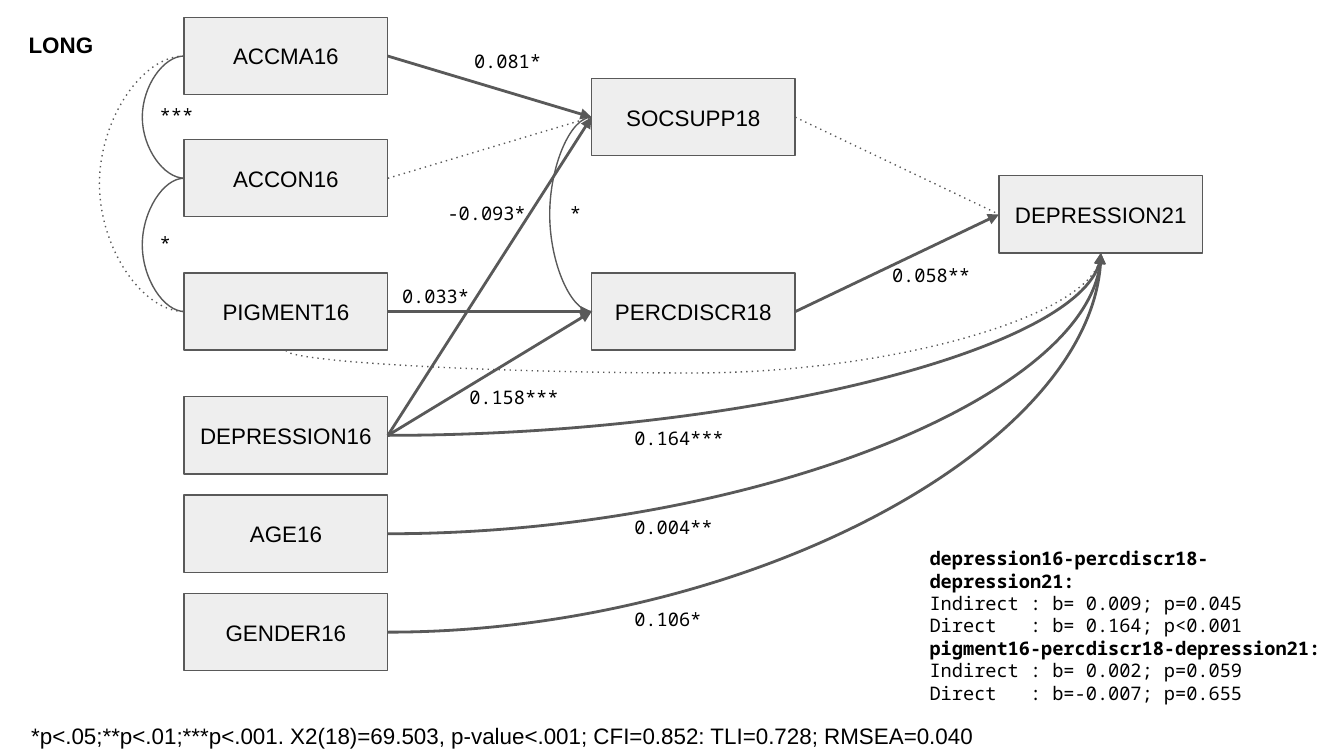
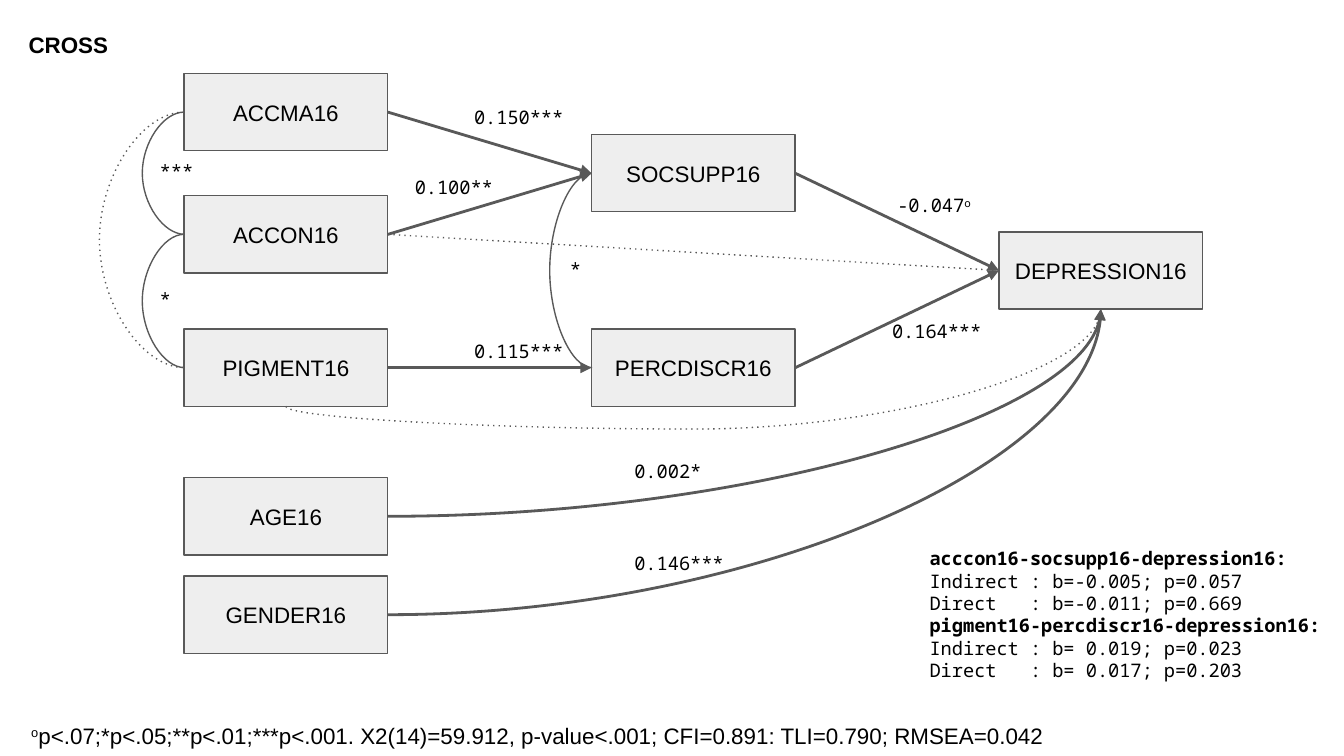
from lxml.etree import SubElement
from pptx import Presentation
from pptx.dml.color import RGBColor
from pptx.enum.shapes import MSO_CONNECTOR as CXN, MSO_SHAPE as SHAPE
from pptx.enum.text import MSO_ANCHOR as ANCHOR, MSO_AUTO_SIZE as AUTO, PP_ALIGN as ALIGN
from pptx.oxml.ns import qn
from pptx.util import Cm, Pt

BLACK = RGBColor(0x00, 0x00, 0x00)
GREY = RGBColor(0x59, 0x59, 0x59)
PALE = RGBColor(0xEE, 0xEE, 0xEE)
SANS, MONO = "Arial", "Noto Sans Mono"
INSET = Cm(0.25)

# Lengths in cm; diagram positions are relative to its top left corner
LEFT, COL_STEP = 3.48, 7.7
BOX_W, BOX_H = 3.85, 1.46
LABEL_W, LABEL_H = 2.74, 0.94
ROW_ACCON, ROW_PIGMENT, ROW_STEP = 2.31, 4.83, 1.86
ROW_SOCSUPP = ROW_ACCON / 2
ROW_OUTCOME = (ROW_SOCSUPP + ROW_PIGMENT) / 2
SLIVER = 0.01           # width of a loop, from which its bulge is scaled
SMALL_BULGE, BIG_BULGE = 0.79, 1.6
DIP = 0.43              # how far the direct path of pigment sinks
LEFT_SIDE, BOTTOM, RIGHT = 1, 2, 3

SHARED_LABELS = [("***", -0.71, 1.42), ("*", -0.71, 3.84), ("*", 7.04, 3.28)]

LONG = dict(
    title="LONG", top=0.33, mediators="18", outcome="DEPRESSION21",
    controls=["DEPRESSION16", "AGE16", "GENDER16"], controls_top=7.17,
    paths=[("ACCMA16", "SOCSUPP18", True), ("ACCON16", "SOCSUPP18", False),
           ("SOCSUPP18", "DEPRESSION21", False),
           ("PERCDISCR18", "DEPRESSION21", True),
           ("PIGMENT16", "PERCDISCR18", True),
           ("DEPRESSION16", "PERCDISCR18", True),
           ("DEPRESSION16", "SOCSUPP18", True)],
    labels=[("0.081*", 5.23, 0.4), ("-0.093*", 4.73, 3.28),
            ("0.164***", 8.26, 7.52), ("0.004**", 8.26, 9.2),
            ("0.106*", 8.26, 10.95), ("0.058**", 13.13, 4.45),
            ("0.033*", 3.87, 4.85), ("0.158***", 5.14, 6.76)],
    effects=["depression16-percdiscr18-depression21:",
             "Indirect : b= 0.009; p=0.045", "Direct   : b= 0.164; p<0.001",
             "pigment16-percdiscr18-depression21:",
             "Indirect : b= 0.002; p=0.059", "Direct   : b=-0.007; p=0.655"],
    note="*p<.05;**p<.01;***p<.001. X2(18)=69.503, p-value<.001; "
         "CFI=0.852: TLI=0.728; RMSEA=0.040")

CROSS = dict(
    title="CROSS", top=1.39, mediators="16", outcome="DEPRESSION16",
    controls=["AGE16", "GENDER16"], controls_top=7.64,
    paths=[("ACCMA16", "SOCSUPP16", True), ("ACCON16", "SOCSUPP16", True),
           ("SOCSUPP16", "DEPRESSION16", True),
           ("PERCDISCR16", "DEPRESSION16", True),
           ("PIGMENT16", "PERCDISCR16", True),
           ("ACCON16", "DEPRESSION16", False)],
    labels=[("0.150***", 5.23, 0.4), ("0.100**", 4.11, 1.72),
            ("0.002*", 8.26, 7.09), ("0.146***", 8.26, 8.82),
            ("0.164***", 13.13, 4.45), ("0.115***", 5.23, 4.82),
            ("-0.047^o^", 13.23, 2.07)],
    effects=["acccon16-socsupp16-depression16:",
             "Indirect : b=-0.005; p=0.057", "Direct   : b=-0.011; p=0.669",
             "pigment16-percdiscr16-depression16:",
             "Indirect : b= 0.019; p=0.023", "Direct   : b= 0.017; p=0.203"],
    note="^o^p<.07;*p<.05;**p<.01;***p<.001. X2(14)=59.912, p-value<.001; "
         "CFI=0.891: TLI=0.790; RMSEA=0.042")


def write(sp, lines, font, size, align=ALIGN.LEFT, anchor=ANCHOR.TOP, bold=()):
    """Fill a shape with paragraphs; text between carets is superscript."""
    tf = sp.text_frame
    tf.word_wrap = True
    tf.vertical_anchor = anchor
    tf.margin_left = tf.margin_right = tf.margin_top = tf.margin_bottom = INSET
    for i, line in enumerate(lines):
        p = tf.add_paragraph() if i else tf.paragraphs[0]
        p.alignment = align
        for j, piece in enumerate(line.split("^")):
            if not piece:
                continue
            r = p.add_run()
            r.text = piece
            f = r.font
            f.name, f.size, f.bold = font, Pt(size), i in bold
            f.color.rgb = BLACK
            if j % 2:
                r._r.get_or_add_rPr().set("baseline", "30000")


def add_text(shapes, box, lines, font, size, bold=()):
    """Add a text box that grows with its text."""
    sp = shapes.add_textbox(*map(Cm, box))
    write(sp, lines, font, size, bold=bold)
    sp.text_frame.auto_size = AUTO.SHAPE_TO_FIT_TEXT


def add_variable(shapes, name, left, top):
    """Add the box of one variable."""
    sp = shapes.add_shape(SHAPE.RECTANGLE, Cm(left), Cm(top), Cm(BOX_W), Cm(BOX_H))
    sp.shadow.inherit = False
    sp.fill.solid()
    sp.fill.fore_color.rgb = PALE
    sp.line.color.rgb = GREY
    sp.line.width = Pt(0.75)
    write(sp, [name], SANS, 12, ALIGN.CENTER, ANCHOR.MIDDLE)
    return sp


def add_link(shapes, start, end, sides, kind=CXN.STRAIGHT, arrow=False, dotted=False):
    """Join two boxes at the given sides."""
    c = shapes.add_connector(kind, 0, 0, 0, 0)
    c.begin_connect(start, sides[0])
    c.end_connect(end, sides[1])
    c.line.color.rgb = GREY
    c.line.width = Pt(1.5 if arrow else 0.75)
    sp_pr = c._element.spPr
    ln = sp_pr.find(qn("a:ln"))
    if dotted:
        SubElement(ln, qn("a:prstDash")).set("val", "dot")
    if arrow:
        SubElement(ln, qn("a:tailEnd")).set("type", "triangle")
    SubElement(sp_pr, qn("a:effectLst"))
    return c


def clear_flips(c):
    """Remove the mirroring of a connector and return its transform."""
    xfrm = c._element.spPr.find(qn("a:xfrm"))
    for flip in ("flipH", "flipV"):
        xfrm.attrib.pop(flip, None)
    return xfrm


def set_bend(c, ratio):
    """Set where the middle of a curve lies, as a share of its width."""
    av = c._element.spPr.find(qn("a:prstGeom")).get_or_add_avLst()
    gd = SubElement(av, qn("a:gd"))
    gd.set("name", "adj1")
    gd.set("fmla", f"val {round(ratio * 100000)}")


def add_loop(shapes, start, end, bulge, dotted=False):
    """Add a correlation arc to the left of two stacked boxes."""
    c = add_link(shapes, start, end, (LEFT_SIDE, LEFT_SIDE), CXN.CURVE, dotted=dotted)
    clear_flips(c)
    c.width = Cm(SLIVER)
    set_bend(c, -bulge / SLIVER)


def add_control_path(shapes, start, outcome):
    """Add a quarter curve from a control variable up to the outcome."""
    c = add_link(shapes, start, outcome, (RIGHT, BOTTOM), CXN.CURVE, arrow=True)
    c._element.spPr.find(qn("a:prstGeom")).set("prst", "curvedConnector2")


def add_sagging_path(shapes, start, outcome):
    """Add the dotted curve that leaves downwards and rises to the outcome."""
    c = add_link(shapes, start, outcome, (BOTTOM, BOTTOM), CXN.CURVE, dotted=True)
    left, top, run, rise = c.left, c.top, c.width, c.height
    clear_flips(c).set("rot", str(270 * 60000))
    c.left, c.top = left + (run - rise) // 2, top + (rise - run) // 2
    c.width, c.height = rise, run
    set_bend(c, -Cm(DIP) / rise)


def add_diagram(slide, model, left, top):
    """Draw the path diagram with its top left corner at the given place."""
    shapes = slide.shapes.add_group_shape().shapes
    social, discr = "SOCSUPP" + model["mediators"], "PERCDISCR" + model["mediators"]
    places = [(discr, 1, ROW_PIGMENT), (model["outcome"], 2, ROW_OUTCOME),
              ("ACCMA16", 0, 0), ("ACCON16", 0, ROW_ACCON),
              ("PIGMENT16", 0, ROW_PIGMENT), (social, 1, ROW_SOCSUPP)]
    places += [(name, 0, model["controls_top"] + i * ROW_STEP)
               for i, name in enumerate(model["controls"])]
    box = {name: add_variable(shapes, name, left + col * COL_STEP, top + y)
           for name, col, y in places}
    outcome = box[model["outcome"]]

    for start, end, solid in model["paths"]:
        add_link(shapes, box[start], box[end], (RIGHT, LEFT_SIDE),
                 arrow=solid, dotted=not solid)
    add_loop(shapes, box["ACCMA16"], box["ACCON16"], SMALL_BULGE)
    add_loop(shapes, box["ACCMA16"], box["PIGMENT16"], BIG_BULGE, dotted=True)
    add_loop(shapes, box["ACCON16"], box["PIGMENT16"], SMALL_BULGE)
    add_loop(shapes, box[social], box[discr], SMALL_BULGE)
    add_sagging_path(shapes, box["PIGMENT16"], outcome)
    for name in model["controls"]:
        add_control_path(shapes, box[name], outcome)
    for text, x, y in SHARED_LABELS + model["labels"]:
        add_text(shapes, (left + x, top + y, LABEL_W, LABEL_H), [text], MONO, 10)


def add_model_slide(prs, model):
    """Add one slide: title, effects, fit note and path diagram."""
    slide = prs.slides.add_slide(prs.slide_layouts[5])
    title = slide.shapes.title
    title.left, title.top, title.width, title.height = map(Cm, (0.29, 0.33, 7.72, 1.02))
    write(title, [model["title"]], SANS, 12, bold=(0,))
    add_text(slide.shapes, (17.32, 10.09, 8.08, 3.07), model["effects"], MONO, 10, bold=(0, 3))
    add_text(slide.shapes, (0.34, 13.4, 24.71, 1.02), [model["note"]], SANS, 12)
    add_diagram(slide, model, LEFT, model["top"])


prs = Presentation()
prs.slide_width, prs.slide_height = Cm(25.4), Cm(14.29)
for model in (LONG, CROSS):
    add_model_slide(prs, model)
prs.save("out.pptx")
